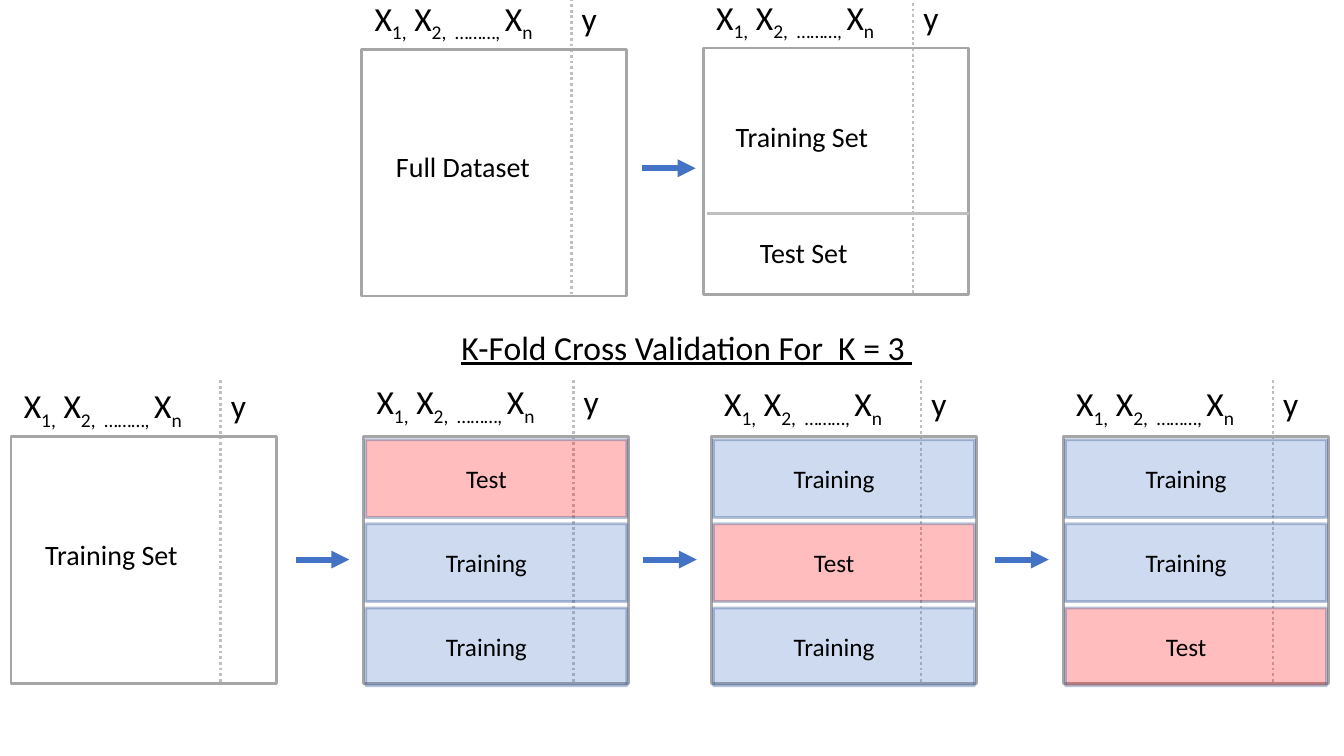
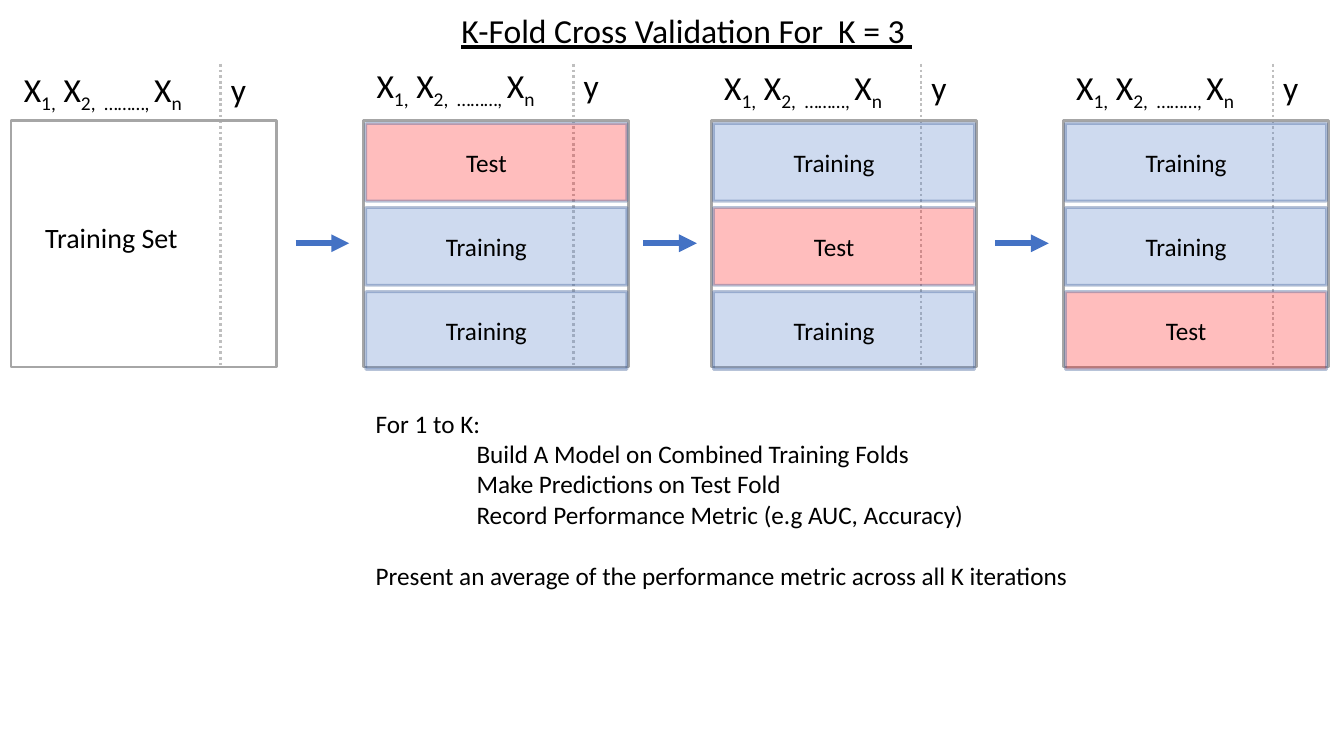
import lxml.etree
import pptx
import pptx.dml.color
import pptx.enum.dml
import pptx.enum.shapes
import pptx.enum.text
import pptx.oxml.ns
import pptx.util

Cm = pptx.util.Cm
Pt = pptx.util.Pt
qn = pptx.oxml.ns.qn

COLOURS = {
    "text": "000000",
    "outline": "A6A6A6",
    "divider": "BFBFBF",
    "arrow": "4472C4",
    "fold_line": "325491",
    "Training": "4472C4",
    "Test": "FF0000",
}
FONT = "Calibri"
TABLE_WIDTH, TABLE_HEIGHT = 6.68, 6.22
DIVIDER_X = 5.28
HEADER_RISE = 1.42
FOLD_INSET, FOLD_HEIGHT, FOLD_PITCH = 0.05, 1.96, 2.12
FOLD_ALPHA, FOLD_LINE_ALPHA = 26000, 35000
ARROW_LENGTH, ARROW_Y = 1.35, 3.1
TITLE = "K-Fold Cross Validation For  K = 3 "
HEADER_RUNS = (
    ("X", False), ("1,", True), (" X", False), ("2,  ………, ", True),
    ("X", False), ("n", True), ("\ty", False),
)
SOURCE_LEFT = 0.28
FOLD_TABLES = (
    (9.17, 1.52, ("Test", "Training", "Training")),
    (17.93, 1.47, ("Training", "Test", "Training")),
    (26.8, 1.47, ("Training", "Training", "Test")),
)
STEPS = (
    ("For 1 to K:", 0, 0),
    ("Build A Model on Combined Training Folds", 2.54, 0),
    ("Make Predictions on Test Fold", 2.54, 0),
    ("Record Performance Metric (e.g AUC, Accuracy)", 2.54, 0),
    ("Present an average of the performance metric across all K iterations", 0, 22),
)


def colour(name):
    return pptx.dml.color.RGBColor.from_string(COLOURS[name])


def apply(target, values):
    for name, value in values.items():
        setattr(target, name, value)


def add_run(paragraph, text, size, **values):
    run = paragraph.add_run()
    run.text = text
    apply(run.font, {"name": FONT, "size": Pt(size), **values})
    run.font.color.rgb = colour("text")
    return run


def add_text_box(slide, left, top, width, height):
    frame = slide.shapes.add_textbox(Cm(left), Cm(top), Cm(width), Cm(height)).text_frame
    frame.word_wrap = True
    return frame


def add_label(slide, left, top, width, text, size, **values):
    frame = add_text_box(slide, left, top, width, size / 18)
    add_run(frame.paragraphs[0], text, size, **values)


def add_line(slide, start, end, colour_name, width, dash=None, arrowhead=False):
    connector = slide.shapes.add_connector(
        pptx.enum.shapes.MSO_CONNECTOR.STRAIGHT, *map(Cm, start + end))
    connector.line.color.rgb = colour(colour_name)
    apply(connector.line, {"width": Pt(width), "dash_style": dash})
    if arrowhead:
        lxml.etree.SubElement(connector.line._get_or_add_ln(), qn("a:tailEnd"), type="triangle")
    lxml.etree.SubElement(connector._element.spPr, qn("a:effectLst"))


def add_box(slide, left, top, width, height, line_name):
    shape = slide.shapes.add_shape(
        pptx.enum.shapes.MSO_SHAPE.RECTANGLE, *map(Cm, (left, top, width, height)))
    shape.shadow.inherit = False
    shape.fill.background()
    shape.line.color.rgb = colour(line_name)
    shape.line.width = Pt(2)
    return shape


def add_header(slide, left, top):
    paragraph = add_text_box(slide, left, top, 6.6, 1.27).paragraphs[0]
    tabs = lxml.etree.SubElement(paragraph._p.get_or_add_pPr(), qn("a:tabLst"))
    lxml.etree.SubElement(tabs, qn("a:tab"), pos=str(Cm(5.22)), algn="l")
    for text, subscript in HEADER_RUNS:
        run = add_run(paragraph, text, 24)
        if subscript:
            run._r.get_or_add_rPr().set("baseline", "-25000")


def add_fold(slide, left, top, kind):
    fold = add_box(slide, left, top, TABLE_WIDTH - 2 * FOLD_INSET, FOLD_HEIGHT, "fold_line")
    fold.fill.solid()
    fold.fill.fore_color.rgb = colour(kind)
    for element, alpha in zip(list(fold._element.spPr.iter(qn("a:srgbClr"))),
                              (FOLD_ALPHA, FOLD_LINE_ALPHA)):
        lxml.etree.SubElement(element, qn("a:alpha"), val=str(alpha))
    apply(fold.text_frame, {
        "margin_left": 0,
        "margin_right": Cm(0.5),
        "vertical_anchor": pptx.enum.text.MSO_ANCHOR.MIDDLE,
    })
    paragraph = fold.text_frame.paragraphs[0]
    paragraph.alignment = pptx.enum.text.PP_ALIGN.CENTER
    add_run(paragraph, kind, 18)


def add_data_table(slide, left, top, captions=(), folds=(), header_rise=HEADER_RISE):
    divider = left + DIVIDER_X
    add_line(slide, (divider, top - HEADER_RISE), (divider, top + TABLE_HEIGHT),
             "divider", 2, pptx.enum.dml.MSO_LINE.ROUND_DOT)
    add_header(slide, left + 0.07, top - header_rise)
    add_box(slide, left, top, TABLE_WIDTH, TABLE_HEIGHT, "outline")
    for index, kind in enumerate(folds):
        add_fold(slide, left + FOLD_INSET, top + 0.08 + index * FOLD_PITCH, kind)
    for text, offset_x, offset_y in captions:
        add_label(slide, left + offset_x, top + offset_y, 4.2, text, 20)


def add_arrow(slide, table_left, table_top, gap):
    end, y = table_left - gap, table_top + ARROW_Y
    add_line(slide, (end - ARROW_LENGTH, y), (end, y), "arrow", 4.25, arrowhead=True)


def add_split(slide, left, top):
    split_left = left + 8.61
    add_data_table(slide, left, top, [("Full Dataset", 0.61, 2.41)])
    add_data_table(slide, split_left, top - 0.03,
                   [("Training Set", 0.56, 1.68), ("Test Set", 1.17, 4.6)])
    add_line(slide, (split_left + 0.08, top + 4.14), (split_left + TABLE_WIDTH, top + 4.14),
             "divider", 2)
    add_arrow(slide, split_left, top - 0.1, 0.2)


def add_cross_validation(slide, top):
    add_label(slide, 11.38, top - 2.9, 12.5, TITLE, 24, underline=True)
    add_data_table(slide, SOURCE_LEFT, top, [("Training Set", 0.61, 2.41)])
    for left, header_rise, folds in FOLD_TABLES:
        add_data_table(slide, left, top, folds=folds, header_rise=header_rise)
        add_arrow(slide, left, top, 0.37)


def add_steps(slide, left, top):
    frame = add_text_box(slide, left, top, 24, 4.88)
    for index, (text, indent, space_before) in enumerate(STEPS):
        paragraph = frame.add_paragraph() if index else frame.paragraphs[0]
        paragraph._p.get_or_add_pPr().set("marL", str(Cm(indent)))
        paragraph.space_before = Pt(space_before)
        add_run(paragraph, text, 18)


def main():
    presentation = pptx.Presentation()
    apply(presentation, {"slide_width": Cm(33.87), "slide_height": Cm(19.05)})
    blank = presentation.slide_layouts[6]

    split_slide = presentation.slides.add_slide(blank)
    add_split(split_slide, 9.12, 1.24)
    add_cross_validation(split_slide, 11)

    steps_slide = presentation.slides.add_slide(blank)
    add_cross_validation(steps_slide, 3.03)
    add_steps(steps_slide, 9.22, 10.16)

    presentation.save("out.pptx")


main()
